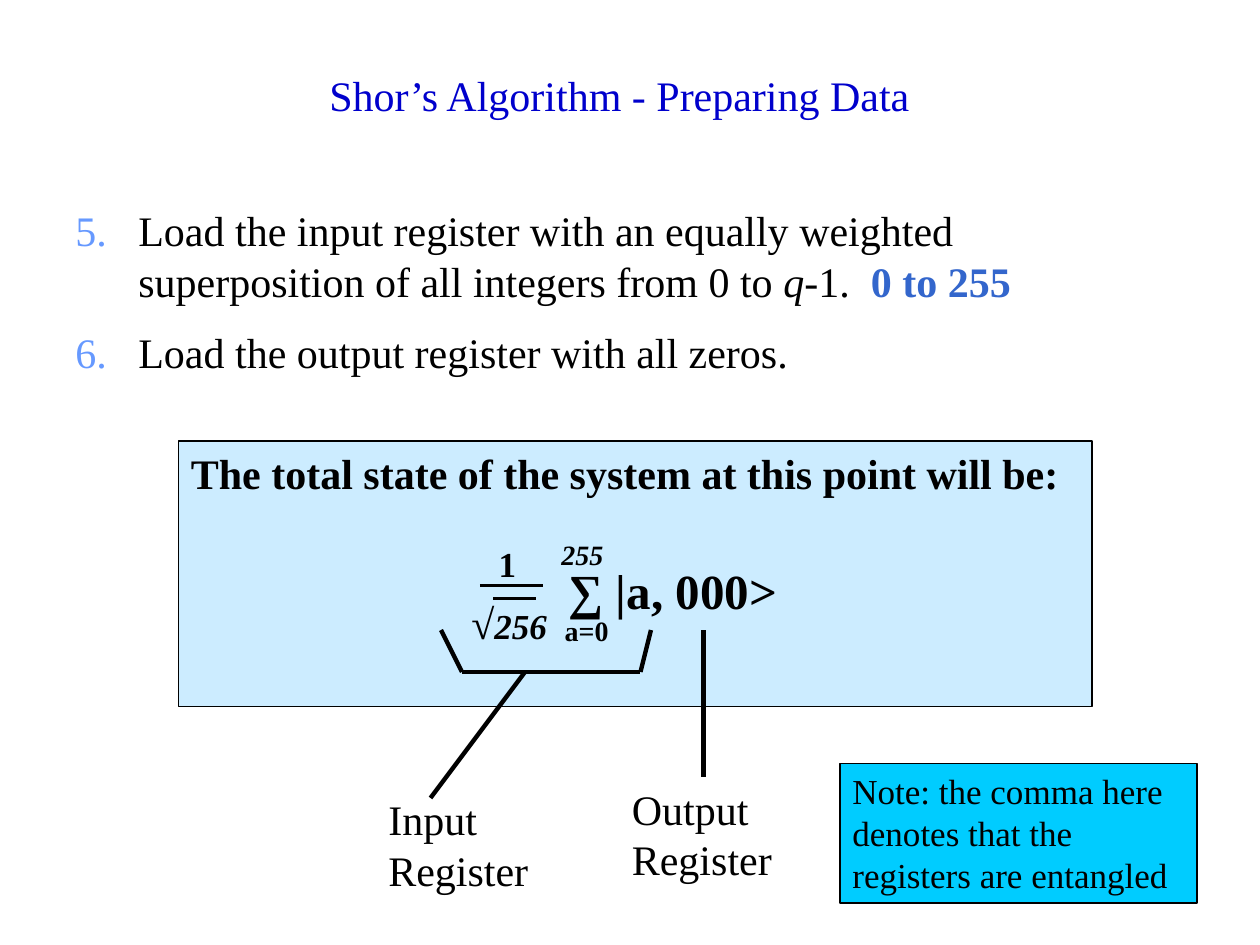
import pptx
import pptx.dml.color
import pptx.enum.shapes
import pptx.enum.text
import pptx.oxml
import pptx.oxml.ns
import pptx.util

COLUMNS, ROWS = 120, 90
BLACK = "000000"
ALIGN = pptx.enum.text.PP_ALIGN
ANCHOR = pptx.enum.text.MSO_ANCHOR


def color(value):
    return pptx.dml.color.RGBColor.from_string(value)


def text(content, **style):
    return content, style


class SlideBuilder:
    font = "Times New Roman"
    size = 24
    border = 0.75

    def __init__(self, presentation):
        self.slide = presentation.slides.add_slide(presentation.slide_layouts[6])
        self.column = presentation.slide_width / COLUMNS
        self.row = presentation.slide_height / ROWS

    def place(self, column, row):
        return round(column * self.column), round(row * self.row)

    def fill_text(self, shape, paragraphs, align=ALIGN.LEFT, anchor=ANCHOR.TOP, start=None):
        frame = shape.text_frame
        frame.word_wrap = True
        frame.vertical_anchor = anchor
        for index, runs in enumerate(paragraphs):
            paragraph = frame.add_paragraph() if index else frame.paragraphs[0]
            if start is not None:
                self.number(paragraph, start)
            paragraph.alignment = align
            if index:
                paragraph.space_before = pptx.util.Pt(self.size / 2)
            for content, style in runs:
                run = paragraph.add_run()
                run.text = content
                run.font.name = self.font
                run.font.size = pptx.util.Pt(style.get("size", self.size))
                run.font.bold = style.get("bold", False)
                run.font.italic = style.get("italic", False)
                run.font.color.rgb = color(style.get("fill", BLACK))

    def number(self, paragraph, start):
        properties = paragraph._p.get_or_add_pPr()
        indent = pptx.util.Inches(0.5)
        properties.set("marL", str(indent))
        properties.set("indent", str(-indent))
        namespace = pptx.oxml.ns.nsdecls("a")
        for element in (
            f'<a:buClr {namespace}><a:srgbClr val="6699FF"/></a:buClr>',
            f'<a:buFont {namespace} typeface="{self.font}"/>',
            f'<a:buAutoNum {namespace} type="arabicPeriod" startAt="{start}"/>',
        ):
            properties.append(pptx.oxml.parse_xml(element))

    def label(self, left, top, width, height, *paragraphs, **layout):
        box = self.slide.shapes.add_textbox(
            *self.place(left, top), *self.place(width, height))
        self.fill_text(box, paragraphs, **layout)

    def panel(self, left, top, width, height, fill, *paragraphs):
        shape = self.slide.shapes.add_shape(
            pptx.enum.shapes.MSO_SHAPE.RECTANGLE,
            *self.place(left, top), *self.place(width, height))
        shape.shadow.inherit = False
        shape.fill.solid()
        shape.fill.fore_color.rgb = color(fill)
        shape.line.color.rgb = color(BLACK)
        shape.line.width = pptx.util.Pt(self.border)
        self.fill_text(shape, paragraphs)

    def line(self, start, end, width=2.5):
        connector = self.slide.shapes.add_connector(
            pptx.enum.shapes.MSO_CONNECTOR.STRAIGHT, *self.place(*start), *self.place(*end))
        connector.line.color.rgb = color(BLACK)
        connector.line.width = pptx.util.Pt(width)
        effects = pptx.oxml.parse_xml(f'<a:effectLst {pptx.oxml.ns.nsdecls("a")}/>')
        connector._element.spPr.append(effects)


def add_formula(builder):
    builder.line((45.7, 55.8), (51.7, 55.8), width=1.75)
    builder.label(46.3, 51.1, 4, 5.2, [text("1", size=20, bold=True)])
    builder.label(43.7, 56.3, 12.4, 6, [
        text("√", bold=True), text("256", size=20, bold=True, italic=True)])
    builder.line((47, 57), (51, 57), width=1.75)
    builder.label(53, 52.8, 25, 6.8, [text("∑ |a, 000>", size=28, bold=True)])
    builder.label(52.6, 57.8, 7, 4.4, [text("a=0", size=16, bold=True)])
    builder.label(52.3, 50.6, 7, 4.4, [text("255", size=16, bold=True, italic=True)])


def add_registers(builder):
    bracket = [(42, 60), (44, 64), (61, 64), (62, 60)]
    for start, end in zip(bracket, bracket[1:]):
        builder.line(start, end)
    builder.line((50, 64), (41, 76))
    builder.line((67, 60), (67, 74))
    for name, left, top in (("Input", 35.8, 75), ("Output", 59, 74)):
        builder.label(left, top, 16.2, 10.8, [text(f"{name} Register")])


def main():
    presentation = pptx.Presentation()
    presentation.slide_width = pptx.util.Inches(10)
    presentation.slide_height = pptx.util.Inches(7.5)
    builder = SlideBuilder(presentation)

    builder.label(5, 6, 108, 6, [text("Shor’s Algorithm - Preparing Data", fill="0000CC")],
                  align=ALIGN.CENTER, anchor=ANCHOR.MIDDLE)
    builder.label(
        6, 18.9, 107, 18,
        [text("Load the input register with an equally weighted "
              "superposition of all integers from 0 to "),
         text("q", italic=True),
         text("-1.  "),
         text("0 to 255", fill="3366CC", bold=True)],
        [text("Load the output register with all zeros.")],
        start=5)
    builder.panel(17, 42, 87, 25.3, "CCECFF", [
        text("The total state of the system at this point will be:", bold=True)])
    add_formula(builder)
    add_registers(builder)
    builder.panel(80, 72.7, 34, 13.3, "00CCFF", [
        text("Note: the comma here denotes that the registers are entangled", size=20)])

    presentation.save("out.pptx")


if __name__ == "__main__":
    main()
